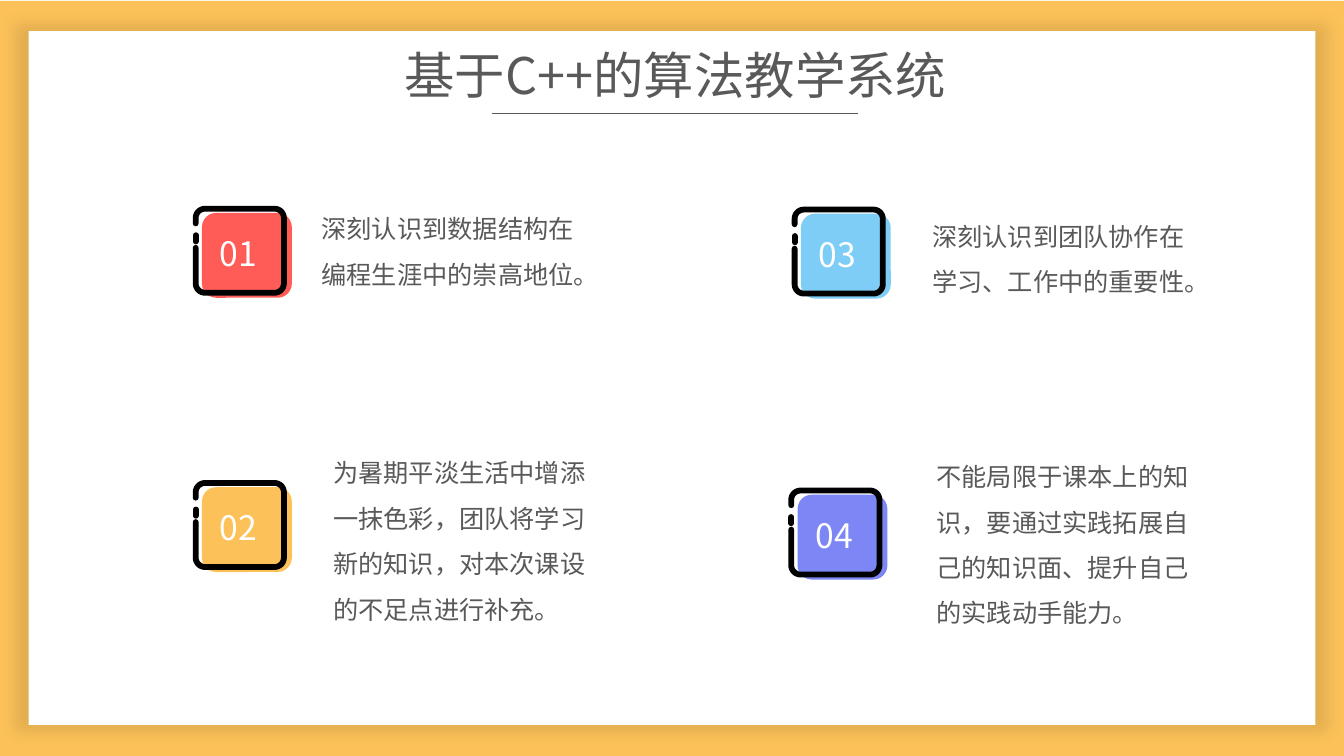
from math import cos, radians, sin

from lxml.etree import SubElement
from pptx import Presentation
from pptx.dml.color import RGBColor
from pptx.enum.shapes import MSO_CONNECTOR as Connector, MSO_SHAPE as Preset
from pptx.enum.text import MSO_AUTO_SIZE as AutoSize, PP_ALIGN as Align
from pptx.oxml.ns import qn
from pptx.util import Inches, Pt

COLUMNS, ROWS = 160, 90
BLACK = RGBColor(0x00, 0x00, 0x00)
WHITE = RGBColor(0xFF, 0xFF, 0xFF)
GRAY = RGBColor(0x59, 0x59, 0x59)
AMBER = RGBColor(0xFC, 0xC2, 0x59)
CORAL = RGBColor(0xFF, 0x5B, 0x57)
SKY = RGBColor(0x7E, 0xCD, 0xF7)
VIOLET = RGBColor(0x7C, 0x87, 0xF5)
BODY_FONT = "Noto Sans CJK SC"
TITLE_FONT = "Noto Sans CJK JP"


class SlideBuilder:
    """Draws styled elements on one slide, measured in grid columns and rows."""

    def __init__(self, deck):
        self.slide = deck.slides.add_slide(deck.slide_layouts[6])
        self.column = deck.slide_width / COLUMNS
        self.row = deck.slide_height / ROWS
        self.target = self.slide.shapes

    def point(self, x, y):
        return round(x * self.column), round(y * self.row)

    def box(self, x, y, width, height):
        return self.point(x, y) + self.point(width, height)

    def panel(self, preset, fill, *area):
        panel = self.target.add_shape(preset, *self.box(*area))
        panel.fill.solid()
        panel.fill.fore_color.rgb = fill
        panel.line.fill.background()
        panel.shadow.inherit = False
        return panel

    def glow(self, panel):
        effects = panel.element.spPr.find(qn("a:effectLst"))
        shadow = SubElement(effects, qn("a:outerShdw"), blurRad=str(Pt(10)),
                            sx="102000", sy="102000", algn="ctr", rotWithShape="0")
        tint = SubElement(shadow, qn("a:srgbClr"), val=str(BLACK))
        SubElement(tint, qn("a:alpha"), val="10000")

    def stroke(self, outline, color, weight, rounded):
        outline.line.color.rgb = color
        outline.line.width = Pt(weight)
        if rounded:
            pen = outline.element.spPr.find(qn("a:ln"))
            pen.set("cap", "rnd")
            SubElement(pen, qn("a:round"))

    def rule(self, start, end, color, weight, rounded=False):
        rule = self.target.add_connector(
            Connector.STRAIGHT, *self.point(*start), *self.point(*end))
        self.stroke(rule, color, weight, rounded)
        SubElement(rule.element.spPr, qn("a:effectLst"))

    def trace(self, points, color, weight):
        start, *rest = [self.point(*spot) for spot in points]
        pen = self.target.build_freeform(*start)
        pen.add_line_segments(rest, close=False)
        outline = pen.convert_to_shape()
        outline.fill.background()
        outline.shadow.inherit = False
        self.stroke(outline, color, weight, True)

    def text(self, words, area, size, color, font=BODY_FONT, align=None, spacing=None):
        frame = self.target.add_textbox(*self.box(*area)).text_frame
        frame.word_wrap = True
        frame.auto_size = AutoSize.SHAPE_TO_FIT_TEXT
        paragraph = frame.paragraphs[0]
        paragraph.alignment = align
        paragraph.line_spacing = spacing
        run = paragraph.add_run()
        run.text = words
        run.font.size = Pt(size)
        run.font.color.rgb = color
        run.font.name = font
        SubElement(run.font._element, qn("a:ea"), typeface=font)

    def badge(self, number, fill, x, y):
        page = self.target
        self.target = page.add_group_shape().shapes
        self.panel(Preset.ROUNDED_RECTANGLE, fill, x + 0.75, y + 0.5, 10.7, 10.1)
        width, height, radius = 10.5, 10, 1.1
        corners = [(radius, radius, 180), (width - radius, radius, 270),
                   (width - radius, height - radius, 0), (radius, height - radius, 90)]
        bends = [(x + cx + radius * cos(radians(first + turn)),
                  y + cy + radius * sin(radians(first + turn)))
                 for cx, cy, first in corners for turn in range(0, 91, 10)]
        self.trace([(x, y + 1.75), *bends, (x, y + 4.65)], BLACK, 4.13)
        self.rule((x, y + 3.9), (x, y + 3.15), BLACK, 4.13, rounded=True)
        self.text(number, (x + 1.7, y + 2.25, 7.6, 6), 24, WHITE, align=Align.JUSTIFY)
        self.target = page


LESSONS = [
    ("01", CORAL, (23.3, 24.85), (37.1, 23.05, 32.5, 11.3),
     "深刻认识到数据结构在编程生涯中的崇高地位。"),
    ("02", AMBER, (23.3, 57.5), (38.5, 52.1, 32.5, 22.2),
     "为暑期平淡生活中增添一抹色彩，团队将学习新的知识，对本次课设的不足点进行补充。"),
    ("03", SKY, (94.6, 24.95), (109.8, 23.9, 32.5, 11.3),
     "深刻认识到团队协作在学习、工作中的重要性。"),
    ("04", VIOLET, (94.2, 58.4), (110.3, 52.55, 32.5, 22.2),
     "不能局限于课本上的知识，要通过实践拓展自己的知识面、提升自己的实践动手能力。"),
]


def main():
    deck = Presentation()
    deck.slide_width, deck.slide_height = Inches(13.33), Inches(7.5)
    page = SlideBuilder(deck)
    page.panel(Preset.RECTANGLE, AMBER, 0, 0.1, COLUMNS, ROWS - 0.1)
    page.glow(page.panel(Preset.RECTANGLE, WHITE, 3.4, 3.7, 153.2, 82.6))
    page.text("基于C++的算法教学系统", (43.9, 4.7, 73, 8.5), 36, GRAY, TITLE_FONT, Align.CENTER)
    page.rule((58.55, 13.45), (102.1, 13.45), GRAY, 0.5)
    for number, fill, corner, area, lesson in LESSONS:
        page.badge(number, fill, *corner)
        page.text(lesson, area, 18, GRAY, spacing=1.5)
    deck.save("out.pptx")


if __name__ == "__main__":
    main()
